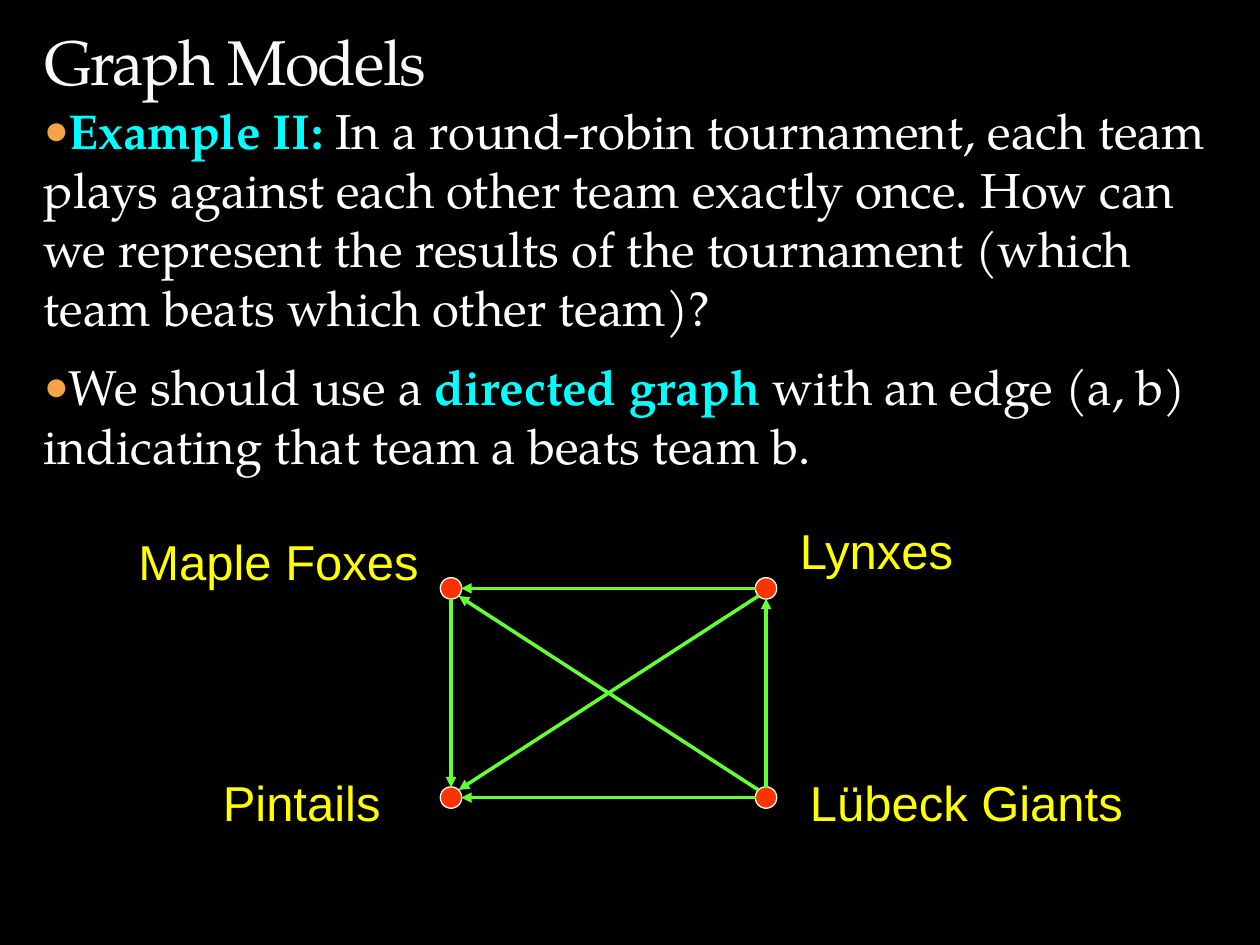
"""Build the tournament slide: a directed graph of who beats whom."""
from dataclasses import dataclass

from lxml import etree
from pptx import Presentation
from pptx.dml.color import RGBColor as Rgb
from pptx.enum.shapes import MSO_CONNECTOR as Line, MSO_SHAPE as Shape
from pptx.enum.text import MSO_ANCHOR as Anchor, MSO_AUTO_SIZE as Fit, PP_ALIGN as Align
from pptx.oxml.ns import qn
from pptx.util import Inches, Pt


@dataclass(frozen=True)
class Theme:
    back: str = "000000"
    title: str = "F9F9F9"
    text: str = "FFFFFF"
    key: str = "00FFFF"
    bullet: str = "F3A447"
    label: str = "FFFF00"
    node: str = "FF3300"
    edge: str = "66FF33"
    serif: str = "TeX Gyre Pagella"
    sans: str = "Arial"
    head: int = 36
    body: int = 28


theme = Theme()


def write(para, text, face=theme.serif, size=theme.body, color=theme.text, bold=False):
    run = para.add_run()
    run.text = text
    font = run.font
    font.name, font.size, font.bold = face, Pt(size), bold
    font.color.rgb = Rgb.from_string(color)
    return run


def place(*box):
    frame = slide.shapes.add_textbox(*map(Inches, box)).text_frame
    frame.word_wrap = True
    return frame


deck = Presentation()
deck.slide_width, deck.slide_height = Inches(10), Inches(7.5)
slide = deck.slides.add_slide(deck.slide_layouts[5])
slide.background.fill.solid()
slide.background.fill.fore_color.rgb = Rgb.from_string(theme.back)

title = slide.shapes.title
title.left, title.top = Inches(0.25), Inches(0)
title.width, title.height = Inches(9.42), Inches(0.83)
frame = title.text_frame
frame.auto_size = Fit.NONE
frame.vertical_anchor = Anchor.BOTTOM
frame.margin_bottom = Inches(0.05)
para = frame.paragraphs[0]
para.alignment = Align.LEFT
run = write(para, "Graph Models", size=theme.head, color=theme.title)
run.font._element.set("spc", "-100")

points = [
    [("Example II: ", True),
     ("In a round-robin tournament, each team plays against each other team exactly once. "
      "How can we represent the results of the tournament (which team beats which other team)?",
      False)],
    [("We should use a ", False), ("directed graph", True),
     (" with an edge (a, b) indicating that team a beats team b.", False)],
]
frame = place(0.25, 0.75, 9.58, 3.17)
for num, parts in enumerate(points):
    para = frame.add_paragraph() if num else frame.paragraphs[0]
    para.space_before = Pt(6 if num else 0)
    para.space_after = Pt(5.6)
    props = para._p.get_or_add_pPr()
    color = etree.SubElement(props, qn("a:buClr"))
    etree.SubElement(color, qn("a:srgbClr"), val=theme.bullet)
    etree.SubElement(props, qn("a:buSzPct"), val="85000")
    etree.SubElement(props, qn("a:buFont"), typeface=theme.sans)
    etree.SubElement(props, qn("a:buChar"), char="●")
    for text, key in parts:
        write(para, text, color=theme.key if key else theme.text, bold=key)

left, right, top, base = 3.58, 6.08, 4.67, 6.33
dot = 0.17
teams = {
    "Maple Foxes": (left, top, 1, 4.17, 2.58),
    "Lynxes": (right, top, 6.25, 4.08, 1.75),
    "Pintails": (left, base, 1.67, 6.08, 1.83),
    "Lübeck Giants": (right, base, 6.33, 6.08, 3),
}
for name, (x, y, start, level, width) in teams.items():
    node = slide.shapes.add_shape(
        Shape.FLOWCHART_CONNECTOR, Inches(x - dot / 2), Inches(y - dot / 2), Inches(dot), Inches(dot))
    node.shadow.inherit = False
    node.fill.solid()
    node.fill.fore_color.rgb = Rgb.from_string(theme.node)
    node.line.color.rgb = Rgb.from_string(theme.text)
    node.line.width = Pt(0.75)
    frame = place(start, level, width, 0.57)
    write(frame.paragraphs[0], name, face=theme.sans, color=theme.label)

wins = [
    ("Maple Foxes", "Pintails"),
    ("Lynxes", "Maple Foxes"),
    ("Lynxes", "Pintails"),
    ("Lübeck Giants", "Pintails"),
    ("Lübeck Giants", "Maple Foxes"),
    ("Lübeck Giants", "Lynxes"),
]
for winner, loser in wins:
    ends = list(zip(teams[winner][:2], teams[loser][:2]))
    gap = 0.06 if all(a != b for a, b in ends) else 0.08
    steps = [gap * ((b > a) - (b < a)) for a, b in ends]
    tail = [Inches(a + step) for (a, b), step in zip(ends, steps)]
    tip = [Inches(b - step) for (a, b), step in zip(ends, steps)]
    edge = slide.shapes.add_connector(Line.STRAIGHT, *tail, *tip)
    edge.line.color.rgb = Rgb.from_string(theme.edge)
    edge.line.width = Pt(2)
    etree.SubElement(edge.line._get_or_add_ln(), qn("a:tailEnd"), type="triangle")
    etree.SubElement(edge._element.spPr, qn("a:effectLst"))

deck.save("out.pptx")
